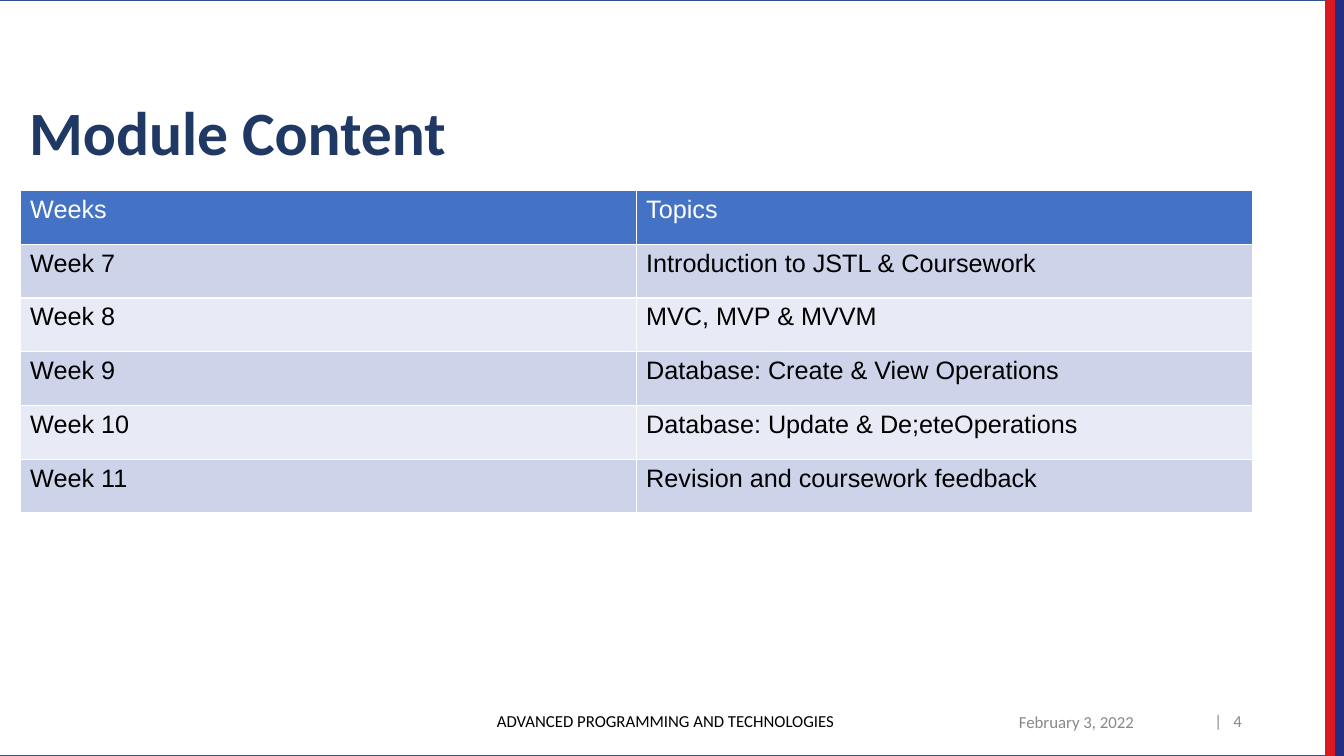
from dataclasses import dataclass

from pptx import Presentation
from pptx.dml.color import RGBColor
from pptx.enum.shapes import MSO_SHAPE
from pptx.enum.text import MSO_ANCHOR, PP_ALIGN
from pptx.util import Pt


@dataclass(frozen=True)
class Theme:
    """Colours, fonts and type sizes of the slide."""

    white: str = "FFFFFF"
    black: str = "000000"
    outline: str = "31538F"
    navy: str = "232D82"
    red: str = "DA1820"
    title: str = "1F3864"
    grey: str = "888888"
    header: str = "4472C4"
    bands: tuple = ("CDD4EA", "E8EBF5")
    heading_font: str = "Calibri"
    table_font: str = "Arial"
    title_size: int = 44
    table_size: int = 18
    footer_size: int = 12


THEME = Theme()
SLIDE_WIDTH, SLIDE_HEIGHT = 960, 540
STRIPE_WIDTH = 6.6
ROW_HEIGHT = 38.4
COLUMN_WIDTH = 440
TOPICS = [
    ("Weeks", "Topics"),
    ("Week 7", "Introduction to JSTL & Coursework"),
    ("Week 8", "MVC, MVP & MVVM"),
    ("Week 9", "Database: Create & View Operations"),
    ("Week 10", "Database: Update & De;eteOperations"),
    ("Week 11", "Revision and coursework feedback"),
]


def add_panel(slide, left, width, fill, line):
    """Add a full-height rectangle."""
    shape = slide.shapes.add_shape(
        MSO_SHAPE.RECTANGLE, Pt(left), Pt(0), Pt(width), Pt(SLIDE_HEIGHT)
    )
    shape.shadow.inherit = False
    shape.fill.solid()
    shape.fill.fore_color.rgb = RGBColor.from_string(fill)
    shape.line.color.rgb = RGBColor.from_string(line)
    shape.line.width = Pt(1)


def add_run(paragraph, text, font, size, color):
    """Add one styled run to a paragraph and return it."""
    run = paragraph.add_run()
    run.text = text
    run.font.name = font
    run.font.size = Pt(size)
    run.font.color.rgb = RGBColor.from_string(color)
    return run


def add_label(slide, box, text, size, color, anchor=MSO_ANCHOR.MIDDLE, align=PP_ALIGN.LEFT):
    """Add a one-line text box and return its paragraph."""
    shape = slide.shapes.add_textbox(*(Pt(length) for length in box))
    frame = shape.text_frame
    frame.word_wrap = True
    frame.vertical_anchor = anchor
    paragraph = frame.paragraphs[0]
    paragraph.alignment = align
    add_run(paragraph, text, THEME.heading_font, size, color)
    return paragraph


def add_title(slide, text):
    """Add the bold slide title."""
    paragraph = add_label(
        slide, (13.7, 19.4, 880.6, 104.4), text, THEME.title_size, THEME.title, MSO_ANCHOR.BOTTOM
    )
    paragraph.line_spacing = 0.9
    paragraph.runs[0].font.bold = True


def add_topic_table(slide, topics):
    """Add the table of weeks and topics with banded rows."""
    column_count = len(topics[0])
    table = slide.shapes.add_table(
        len(topics), column_count, Pt(14.4), Pt(136.1),
        Pt(COLUMN_WIDTH * column_count), Pt(ROW_HEIGHT * len(topics)),
    ).table
    for row_index, texts in enumerate(topics):
        is_header = row_index == 0
        fill = THEME.header if is_header else THEME.bands[(row_index - 1) % 2]
        color = THEME.white if is_header else THEME.black
        for column_index, text in enumerate(texts):
            cell = table.cell(row_index, column_index)
            cell.fill.solid()
            cell.fill.fore_color.rgb = RGBColor.from_string(fill)
            paragraph = cell.text_frame.paragraphs[0]
            add_run(paragraph, text, THEME.table_font, THEME.table_size, color)


def main():
    """Build the slide and save it."""
    presentation = Presentation()
    presentation.slide_width = Pt(SLIDE_WIDTH)
    presentation.slide_height = Pt(SLIDE_HEIGHT)
    slide = presentation.slides.add_slide(presentation.slide_layouts[6])

    add_panel(slide, -STRIPE_WIDTH, SLIDE_WIDTH - STRIPE_WIDTH, THEME.white, THEME.outline)
    for position, color in enumerate((THEME.navy, THEME.red), start=1):
        add_panel(slide, SLIDE_WIDTH - position * STRIPE_WIDTH, STRIPE_WIDTH, color, color)

    add_topic_table(slide, TOPICS)
    add_title(slide, "Module Content")
    size = THEME.footer_size
    add_label(slide, (720.7, 501.1, 105.8, 28.8), "February 3, 2022", size, THEME.grey)
    add_label(slide, (840.2, 500.4, 54, 28.8), "|   4", size, THEME.grey, align=PP_ALIGN.RIGHT)
    add_label(
        slide, (249.8, 500.4, 451.4, 28.8), "ADVANCED PROGRAMMING AND TECHNOLOGIES",
        size, THEME.black, align=PP_ALIGN.CENTER,
    )
    presentation.save("out.pptx")


if __name__ == "__main__":
    main()
